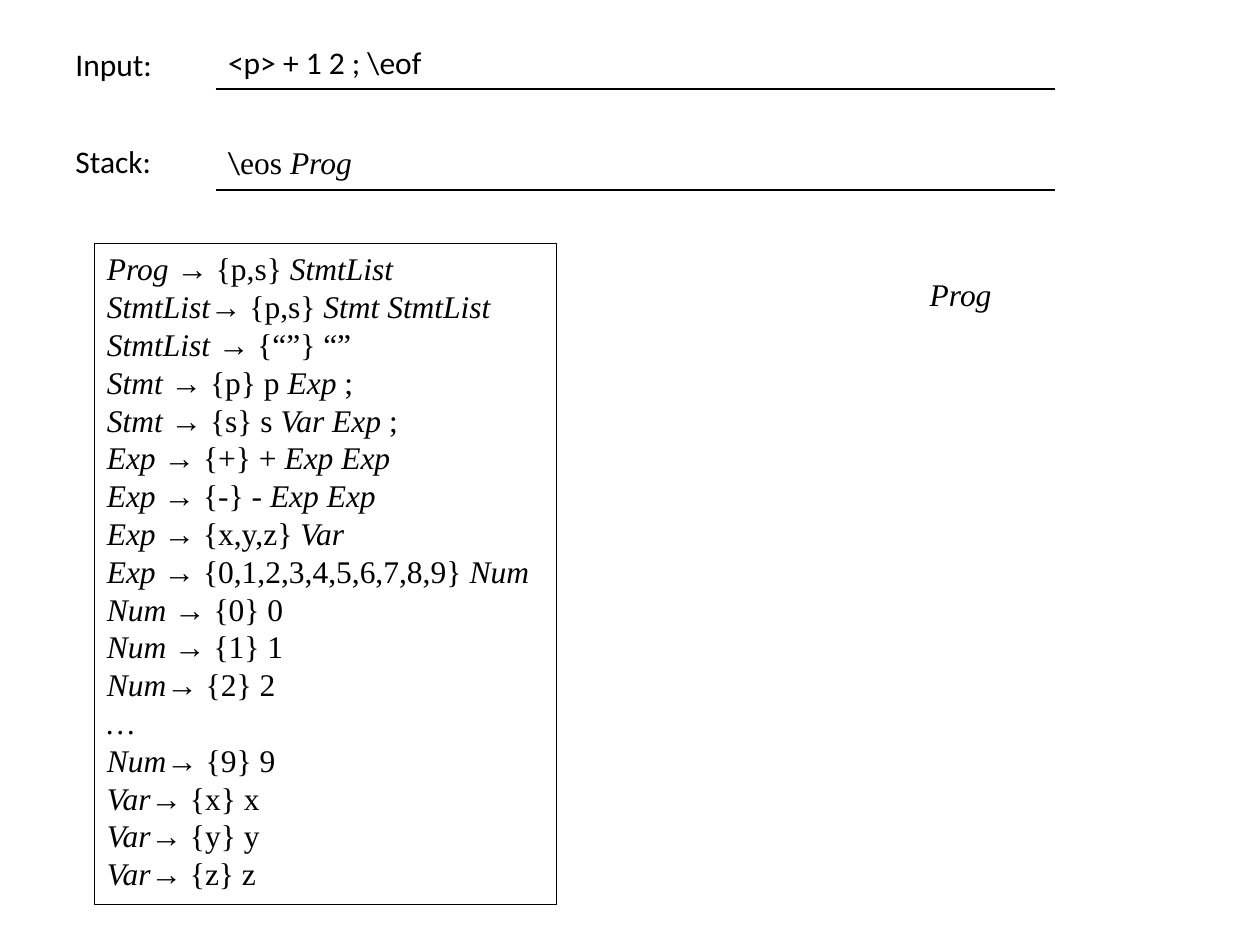
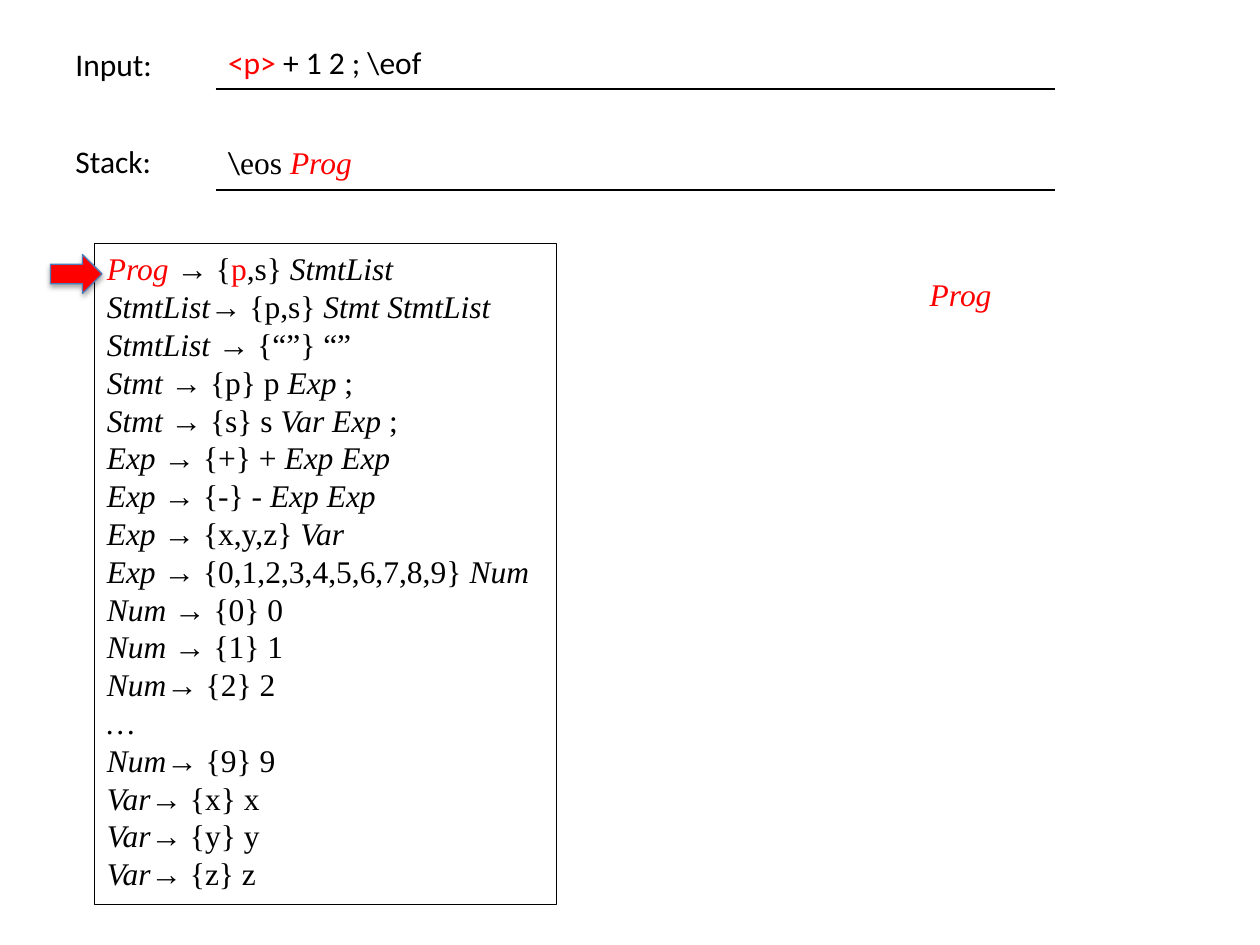
from lxml import etree
from pptx import Presentation
from pptx.dml.color import RGBColor
from pptx.enum.shapes import MSO_SHAPE as Shape
from pptx.enum.text import MSO_AUTO_SIZE as Fit
from pptx.oxml.ns import qn
from pptx.util import Pt

BLACK = RGBColor(0x00, 0x00, 0x00)
WHITE = RGBColor(0xFF, 0xFF, 0xFF)
RED = RGBColor(0xFF, 0x00, 0x00)
BLUE = RGBColor(0x4B, 0x7E, 0xBC)
SANS = "Calibri"
SERIF = "Times New Roman"
SIZE = Pt(18)

# Marks in text: * toggles italic, ~ toggles the active colour, ^ toggles sans.
MARKS = "*~^"
INPUT = "^~<p>~ + 1 2 ; \\eof"
STACK = "^\\^eos *~Prog~"
ROOT = "*~Prog~"
RULES = [
    "*~Prog~ *→ {~p~,s} *StmtList",
    "*StmtList*→ {p,s} *Stmt StmtList",
    "*StmtList *→ {“”} “”",
    "*Stmt *→ {p} p *Exp *;",
    "*Stmt *→ {s} s *Var Exp *;",
    "*Exp *→ {+} + *Exp Exp",
    "*Exp *→ {-} - *Exp Exp",
    "*Exp *→ {x,y,z} *Var",
    "*Exp *→ {0,1,2,3,4,5,6,7,8,9} *Num",
    "*Num *→ {0} 0",
    "*Num *→ {1} 1",
    "*Num*→ {2} 2",
    "*…",
    "*Num*→ {9} 9",
    "*Var*→ {x} x",
    "*Var*→ {y} y",
    "*Var*→ {z} z",
]


def split(text):
    marks, part = set(), ""
    for char in text:
        if char not in MARKS:
            part += char
            continue
        if part:
            yield part, set(marks)
        marks ^= {char}
        part = ""
    if part:
        yield part, marks


def write(frame, lines, active):
    for index, line in enumerate(lines):
        par = frame.add_paragraph() if index else frame.paragraphs[0]
        par.font.size = SIZE
        par.font.name = SERIF
        par.font.color.rgb = BLACK
        for part, marks in split(line):
            run = par.add_run()
            run.text = part
            if "*" in marks:
                run.font.italic = True
            if "^" in marks:
                run.font.name = SANS
            if "~" in marks and active:
                run.font.color.rgb = RED


def add_text(slide, box, lines, active=False):
    shape = slide.shapes.add_textbox(*map(Pt, box))
    frame = shape.text_frame
    frame.word_wrap = False
    frame.auto_size = Fit.SHAPE_TO_FIT_TEXT
    write(frame, lines, active)
    return shape


def set_edge(cell, side, color):
    props = cell._tc.get_or_add_tcPr()
    line = etree.SubElement(props, qn(f"a:ln{side}"), w=str(Pt(1)))
    fill = etree.SubElement(line, qn("a:solidFill"))
    etree.SubElement(fill, qn("a:srgbClr"), val=str(color))


def add_field(slide, box, text, active):
    table = slide.shapes.add_table(1, 1, *map(Pt, box)).table
    table.first_row = table.horz_banding = False
    cell = table.cell(0, 0)
    for side in "LRTB":
        set_edge(cell, side, BLACK if side == "B" else WHITE)
    cell.fill.solid()
    cell.fill.fore_color.rgb = WHITE
    write(cell.text_frame, [text], active)


def add_rules(slide, box, active):
    shape = add_text(slide, box, RULES, active)
    shape.line.color.rgb = BLACK
    shape.line.width = Pt(0.75)
    if active:
        left, top = box[:2]
        add_arrow(slide, (left - 25.2, top + 6.4, 29.5, 22.3))


def add_arrow(slide, box):
    arrow = slide.shapes.add_shape(Shape.RIGHT_ARROW, *map(Pt, box))
    arrow.fill.solid()
    arrow.fill.fore_color.rgb = RED
    arrow.line.color.rgb = BLUE
    arrow.line.width = Pt(0.75)
    arrow.shadow.inherit = False
    effects = arrow._element.spPr.find(qn("a:effectLst"))
    shade = etree.SubElement(
        effects, qn("a:outerShdw"), blurRad=str(Pt(3.1)),
        dist=str(Pt(1.8)), dir="5400000", rotWithShape="0")
    color = etree.SubElement(shade, qn("a:srgbClr"), val=str(BLACK))
    etree.SubElement(color, qn("a:alpha"), val="35000")


def add_step(deck, active):
    slide = deck.slides.add_slide(deck.slide_layouts[6])
    add_field(slide, (123.1, 79.2, 480.2, 29.3), STACK, active)
    add_field(slide, (123.1, 21.6, 480.2, 29.3), INPUT, active)
    add_text(slide, (36, 22.3, 59, 29), ["^Input:"])
    add_text(slide, (36, 77.8, 58.3, 29), ["^Stack:"])
    add_rules(slide, (54, 139, 264.2, 378), active)
    add_text(slide, (524.2, 153.4, 55.4, 29), [ROOT], active)


def main():
    deck = Presentation()
    deck.slide_width, deck.slide_height = Pt(720), Pt(540)
    for active in (False, True):
        add_step(deck, active)
    deck.save("out.pptx")


if __name__ == "__main__":
    main()
